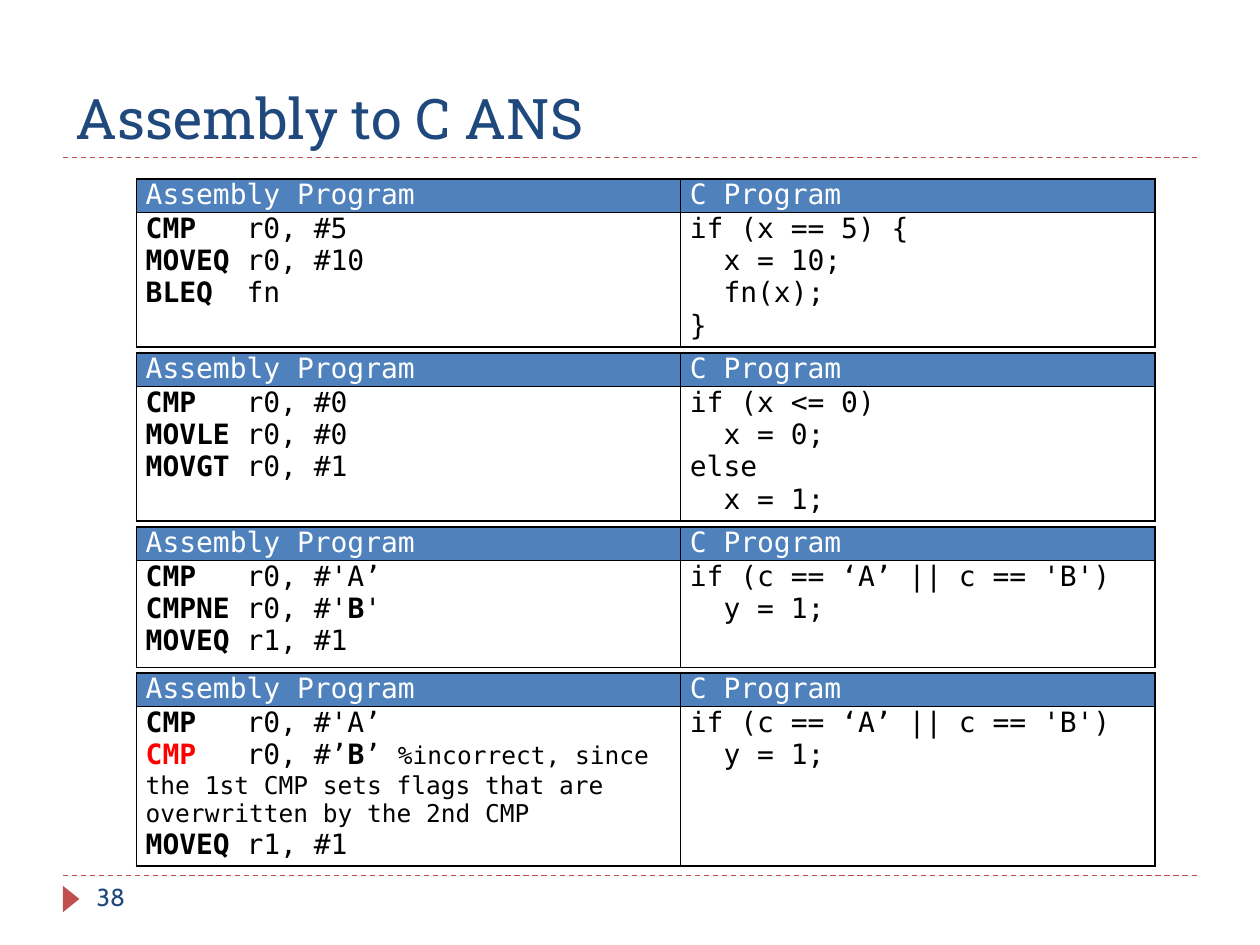
"""Build a slide that pairs assembly programs with their C equivalents."""
from dataclasses import dataclass

from lxml import etree
from pptx import Presentation
from pptx.dml.color import RGBColor
from pptx.enum.dml import MSO_LINE
from pptx.enum.shapes import MSO_CONNECTOR, MSO_SHAPE
from pptx.enum.text import MSO_ANCHOR, PP_ALIGN
from pptx.oxml.ns import qn
from pptx.util import Pt

DASH = MSO_LINE.DASH
STRAIGHT = MSO_CONNECTOR.STRAIGHT
TRIANGLE = MSO_SHAPE.ISOSCELES_TRIANGLE
BOTTOM = MSO_ANCHOR.BOTTOM
LEFT, JUSTIFY = PP_ALIGN.LEFT, PP_ALIGN.JUSTIFY

NAVY, BLUE, BRICK = "1F497D", "4F81BD", "C0504D"
BLACK, WHITE, RED = "000000", "FFFFFF", "FF0000"
CODE_FONT = "DejaVu Sans Mono"
TABLE_LEFT = 77.9
COLUMN_WIDTHS = (311, 271)
ROW_HEIGHTS = (17.3, 61.2)
HEADINGS = ("Assembly Program", "C Program")


@dataclass(frozen=True)
class Run:
    """A stretch of code text with one format."""
    text: str
    bold: bool = False
    color: str = BLACK
    size: float = 16


@dataclass(frozen=True)
class Example:
    """An assembly program beside its C version."""
    top: float
    assembly: list[list[Run]]
    c_lines: list[str]


def instruction(mnemonic: str, operands: str, *extra: Run, color: str = BLACK) -> list[Run]:
    """Return one assembly line with a bold mnemonic padded to the operand column."""
    gap = " " * (6 - len(mnemonic))
    return [Run(mnemonic, bold=True, color=color), Run(gap + operands), *extra]


LETTER_B = Run("B", bold=True)
LETTER_TEST = ["if (c == ‘A’ || c == 'B')", "  y = 1;"]
REMARK = "%incorrect, since the 1st CMP sets flags that are overwritten by the 2nd CMP"
EXAMPLES = [
    Example(
        102.2,
        [instruction("CMP", "r0, #5"), instruction("MOVEQ", "r0, #10"), instruction("BLEQ", "fn")],
        ["if (x == 5) {", "  x = 10;", "  fn(x);", "}"],
    ),
    Example(
        201.6,
        [instruction("CMP", "r0, #0"), instruction("MOVLE", "r0, #0"), instruction("MOVGT", "r0, #1")],
        ["if (x <= 0)", "  x = 0;", "else", "  x = 1;"],
    ),
    Example(
        301,
        [
            instruction("CMP", "r0, #'A’"),
            instruction("CMPNE", "r0, #'", LETTER_B, Run("'")),
            instruction("MOVEQ", "r1, #1"),
        ],
        LETTER_TEST,
    ),
    Example(
        384.5,
        [
            instruction("CMP", "r0, #'A’"),
            instruction("CMP", "r0, #’", LETTER_B, Run("’ "), Run(REMARK, size=14), color=RED),
            instruction("MOVEQ", "r1, #1"),
        ],
        LETTER_TEST,
    ),
]


def rgb(value: str) -> RGBColor:
    """Turn a hex string into a colour."""
    return RGBColor.from_string(value)


def add_text(paragraph, text: str, *, size: float, color: str, font: str, bold: bool = False) -> None:
    """Append a formatted run to a paragraph."""
    run = paragraph.add_run()
    run.text = text
    run.font.size = Pt(size)
    run.font.name = font
    run.font.bold = bold
    run.font.color.rgb = rgb(color)


def place(shape, left: float, top: float, width: float, height: float) -> None:
    """Move and size a shape in points."""
    shape.left, shape.top, shape.width, shape.height = map(Pt, (left, top, width, height))


def add_rule(slide, top: float) -> None:
    """Draw a dashed line across the slide."""
    connector = slide.shapes.add_connector(STRAIGHT, Pt(36), Pt(top), Pt(684), Pt(top))
    connector.line.color.rgb = rgb(BRICK)
    connector.line.width = Pt(0.75)
    connector.line.dash_style = DASH
    etree.SubElement(connector._element.spPr, qn("a:effectLst"))


def add_borders(cell) -> None:
    """Give a cell a thin black line on every side."""
    properties = cell._tc.get_or_add_tcPr()
    for side in ("lnL", "lnR", "lnT", "lnB"):
        line = etree.SubElement(properties, qn(f"a:{side}"), w=str(Pt(1)))
        fill = etree.SubElement(line, qn("a:solidFill"))
        etree.SubElement(fill, qn("a:srgbClr"), val=BLACK)


def fill_cell(cell, lines: list[list[Run]], *, fill: str | None = None, alignment=LEFT) -> None:
    """Write lines of code into a bordered cell."""
    add_borders(cell)
    cell.margin_left = cell.margin_right = Pt(5.4)
    cell.margin_top = cell.margin_bottom = Pt(0)
    if fill:
        cell.fill.solid()
        cell.fill.fore_color.rgb = rgb(fill)
    else:
        cell.fill.background()
    frame = cell.text_frame
    for index, line in enumerate(lines):
        paragraph = frame.add_paragraph() if index else frame.paragraphs[0]
        paragraph.alignment = alignment
        for run in line:
            add_text(paragraph, run.text, size=run.size, color=run.color, font=CODE_FONT, bold=run.bold)


def add_example(slide, example: Example) -> None:
    """Draw the two-column table of one example."""
    table = slide.shapes.add_table(
        2, 2, Pt(TABLE_LEFT), Pt(example.top), Pt(sum(COLUMN_WIDTHS)), Pt(sum(ROW_HEIGHTS))
    ).table
    table.horz_banding = False
    for column, width in zip(table.columns, COLUMN_WIDTHS):
        column.width = Pt(width)
    for row, height in zip(table.rows, ROW_HEIGHTS):
        row.height = Pt(height)
    bodies = (example.assembly, [[Run(line)] for line in example.c_lines])
    for index, (heading, body) in enumerate(zip(HEADINGS, bodies)):
        fill_cell(table.cell(0, index), [[Run(heading, color=WHITE)]], fill=BLUE, alignment=JUSTIFY)
        fill_cell(table.cell(1, index), body)


def main() -> None:
    """Build and save the slide."""
    presentation = Presentation()
    presentation.slide_width, presentation.slide_height = Pt(720), Pt(540)
    slide = presentation.slides.add_slide(presentation.slide_layouts[5])

    for top in (500.4, 90):
        add_rule(slide, top)
    marker = slide.shapes.add_shape(TRIANGLE, Pt(33.1), Pt(509), Pt(15.1), Pt(9.4))
    marker.rotation = 90
    marker.shadow.inherit = False
    marker.fill.solid()
    marker.fill.fore_color.rgb = rgb(BRICK)
    marker.line.fill.background()

    title = slide.shapes.title
    place(title, 36, 12.2, 648, 77.8)
    title.text_frame.vertical_anchor = BOTTOM
    heading = title.text_frame.paragraphs[0]
    heading.alignment = LEFT
    add_text(heading, "Assembly to C ANS", size=32, color=NAVY, font="Roboto Slab")

    number = slide.shapes.add_textbox(Pt(48.2), Pt(500.4), Pt(156), Pt(28.8))
    number.text_frame.word_wrap = True
    add_text(number.text_frame.paragraphs[0], "38", size=14, color=NAVY, font="Cabin")

    for example in EXAMPLES:
        add_example(slide, example)
    presentation.save("out.pptx")


if __name__ == "__main__":
    main()
